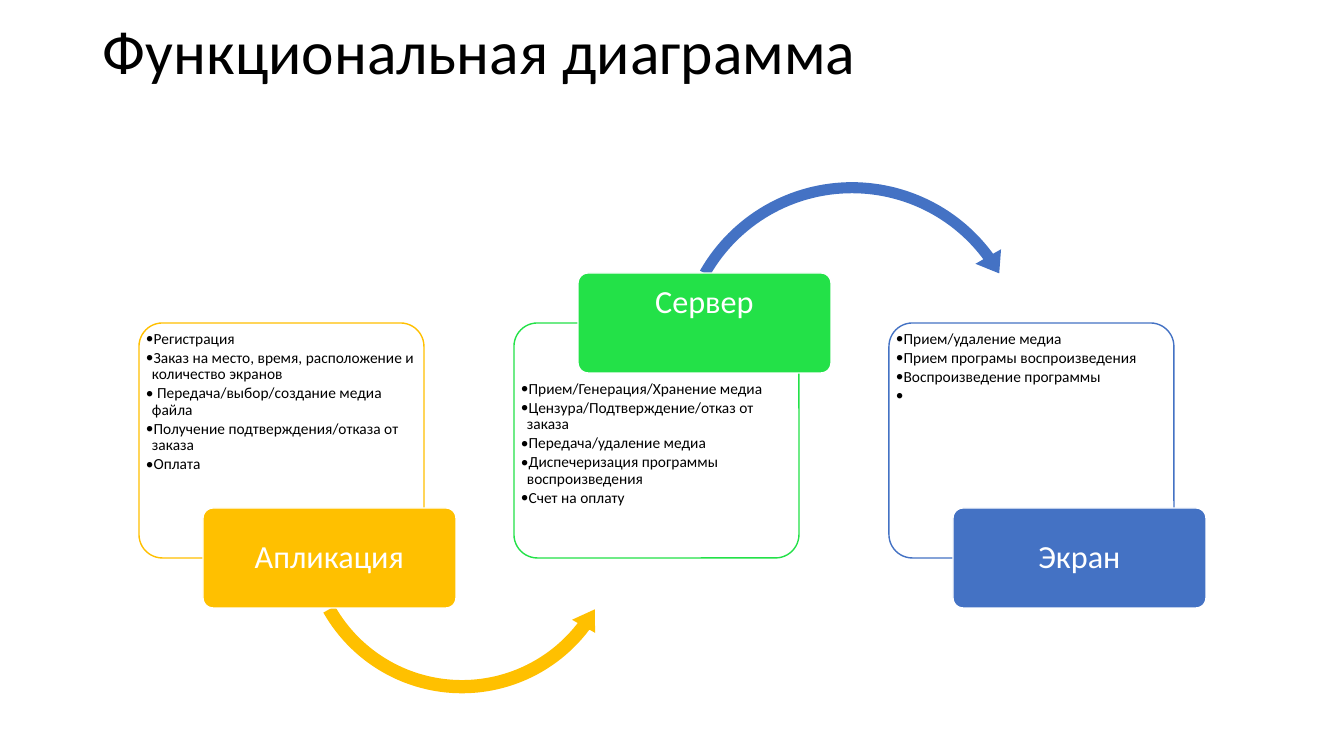
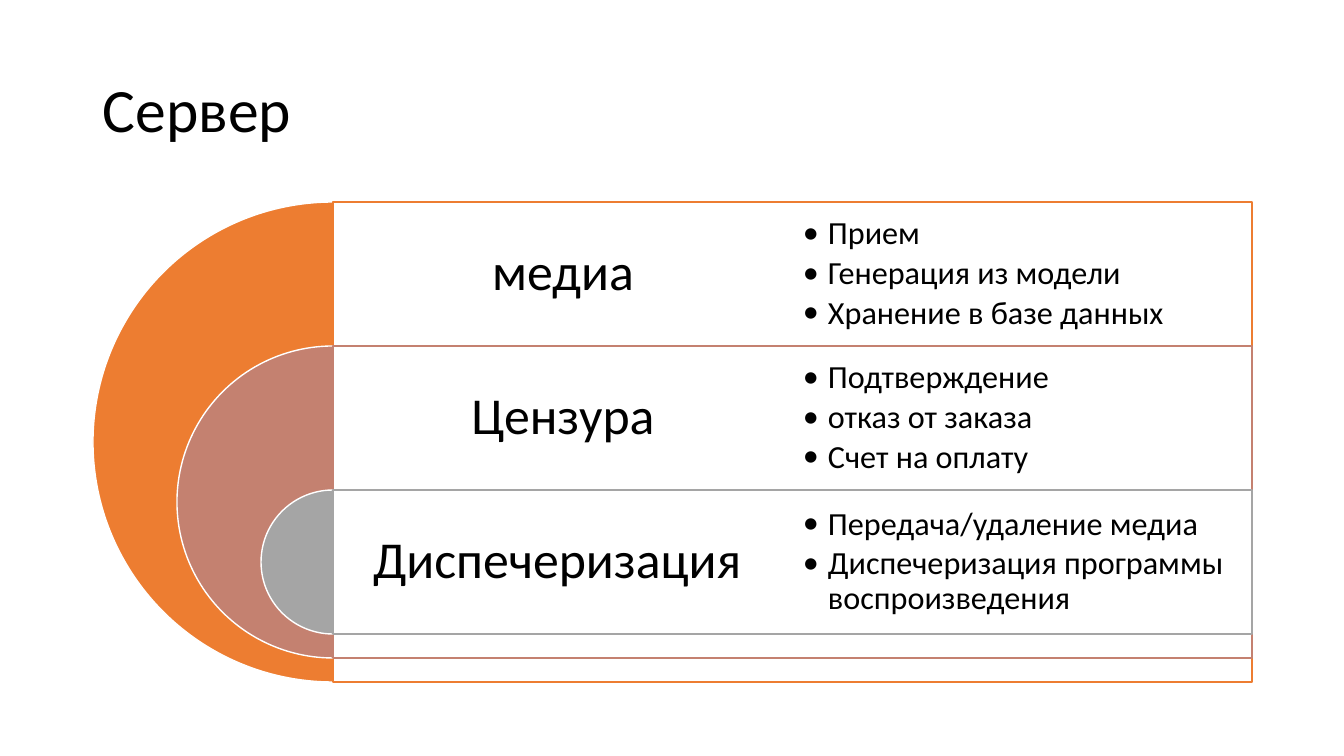
from lxml import etree
from pptx import Presentation, util as u
from pptx.dml.color import RGBColor
from pptx.enum import shapes, text
from pptx.oxml.ns import qn

PX = u.Inches(10) / 1008
FONT = "Calibri"
COLOURS = {
    "black": "000000", "white": "FFFFFF",
    "amber": "FFC000", "green": "23E148", "blue": "4472C4",
    "orange": "ED7D31", "rose": "C48170", "grey": "A5A5A5",
}
SHAPE = shapes.MSO_SHAPE
MIDDLE, TOP = text.MSO_ANCHOR.MIDDLE, text.MSO_ANCHOR.TOP
LEFT, CENTER = text.PP_ALIGN.LEFT, text.PP_ALIGN.CENTER


def draw(slide, preset, box, fill=None, line=None, adjust=(), opacity=100):
    """Add a preset shape, or a text box when preset is None; box is in px."""
    place = [u.Emu(round(n * PX)) for n in box]
    if preset is None:
        return slide.shapes.add_textbox(*place)
    shape = slide.shapes.add_shape(preset, *place)
    shape.shadow.inherit = False
    for i, value in enumerate(adjust):
        shape.adjustments[i] = value
    shape.fill.solid()
    shape.fill.fore_color.rgb = RGBColor.from_string(COLOURS[fill])
    if opacity < 100:
        colour = shape.fill._xPr.find(".//" + qn("a:srgbClr"))
        etree.SubElement(colour, qn("a:alpha"), val=str(opacity * 1000))
    if line:
        shape.line.color.rgb = RGBColor.from_string(COLOURS[line])
        shape.line.width = u.Pt(1)
    else:
        shape.line.fill.background()
    return shape


def write(shape, lines, size, colour="black", align=LEFT, anchor=MIDDLE,
          inset=(10, 5), hang=0, after=0):
    """Fill a shape with paragraphs; hang is the bullet indent in px."""
    frame = shape.text_frame
    frame.word_wrap = True
    frame.vertical_anchor = anchor
    frame.margin_left = frame.margin_right = round(inset[0] * PX)
    frame.margin_top = frame.margin_bottom = round(inset[1] * PX)
    for i, line in enumerate(lines):
        paragraph = frame.add_paragraph() if i else frame.paragraphs[0]
        paragraph.alignment = align
        paragraph.line_spacing = 0.9
        paragraph.space_after = u.Pt(size * after)
        if hang:
            props = paragraph._p.get_or_add_pPr()
            props.set("marL", str(round(hang * PX)))
            props.set("indent", str(round(-hang * PX)))
            etree.SubElement(props, qn("a:buFont"), typeface=FONT)
            etree.SubElement(props, qn("a:buChar"), char="•")
        run = paragraph.add_run()
        run.text = line
        run.font.name = FONT
        run.font.size = u.Pt(size)
        run.font.color.rgb = RGBColor.from_string(COLOURS[colour])


deck = Presentation()
deck.slide_width, deck.slide_height = round(1344 * PX), round(756 * PX)
slides = []
for heading, top in [("Функциональная диаграмма", -18), ("Сервер", 40)]:
    slide = deck.slides.add_slide(deck.slide_layouts[6])
    write(draw(slide, None, (93, top, 1159, 146)), [heading], 44)
    slides.append(slide)
diagram, server = slides

# Functional diagram: three stages joined by curved arrows
stages = [
    ("Апликация", "amber", 508, 329, [
        "Регистрация",
        "Заказ на место, время, расположение и количество экранов",
        " Передача/выбор/создание медиа файла",
        "Получение подтверждения/отказа от заказа",
        "Оплата"]),
    ("Сервер", "green", 273, 379, [
        "Прием/Генерация/Хранение медиа",
        "Цензура/Подтверждение/отказ от заказа",
        "Передача/удаление медиа",
        "Диспечеризация программы воспроизведения",
        "Счет на оплату"]),
    ("Экран", "blue", 508, 329, [
        "Прием/удаление медиа",
        "Прием програмы воспроизведения",
        "Воспроизведение программы",
        " "]),
]
arrows = {
    "Апликация": (SHAPE.LEFT_CIRCULAR_ARROW, (296, 368, 332, 332), "amber",
                  (0.04, 4.57, 22.33, 90.25, 0.04)),
    "Сервер": (SHAPE.CIRCULAR_ARROW, (668, 173, 368, 368), "blue",
               (0.03, 4.09, 194.16, 125.76, 0.04)),
}
for i, (name, colour, badge_top, tasks_top, tasks) in enumerate(stages):
    left = 139 + 375 * i
    draw(diagram, SHAPE.ROUNDED_RECTANGLE, (left, 323, 285, 235),
         "white", colour, [0.1], opacity=90)
    write(draw(diagram, None, (left + 5, tasks_top, 274, 173)), tasks, 11,
          anchor=TOP, inset=(2, 2), hang=6, after=0.15)
    if name in arrows:
        preset, box, fill, adjust = arrows[name]
        draw(diagram, preset, box, fill, adjust=adjust)
    badge = draw(diagram, SHAPE.ROUNDED_RECTANGLE,
                 (left + 64, badge_top, 253, 100), colour, "white", [0.1])
    write(badge, [name], 23, "white", CENTER, inset=(8, 10),
          anchor=TOP if name == "Сервер" else MIDDLE)

# Server: nested half discs, each with a row of functions
functions = [
    ("медиа", "orange",
     ["Прием", "Генерация из модели", "Хранение в базе данных"]),
    ("Цензура", "rose",
     ["Подтверждение", "отказ от заказа", "Счет на оплату"]),
    ("Диспечеризация ", "grey",
     ["Передача/удаление медиа",
      "Диспечеризация программы воспроизведения"]),
]
axis, row = 333, 144
for i, (name, colour, duties) in enumerate(functions):
    top, size = 202 + row * i, 480 - 168 * i
    draw(server, SHAPE.PIE, (axis - size // 2, top, size, size),
         colour, "white", (54, 162))
    draw(server, SHAPE.RECTANGLE, (axis, top, 919, size),
         "white", colour, opacity=90)
    write(draw(server, None, (axis, top, 460, row)), [name], 37,
          align=CENTER, inset=(15, 15))
    write(draw(server, None, (axis + 460, top, 459, row)), duties, 23,
          inset=(10, 10), hang=25, after=0.15)

deck.save("out.pptx")
